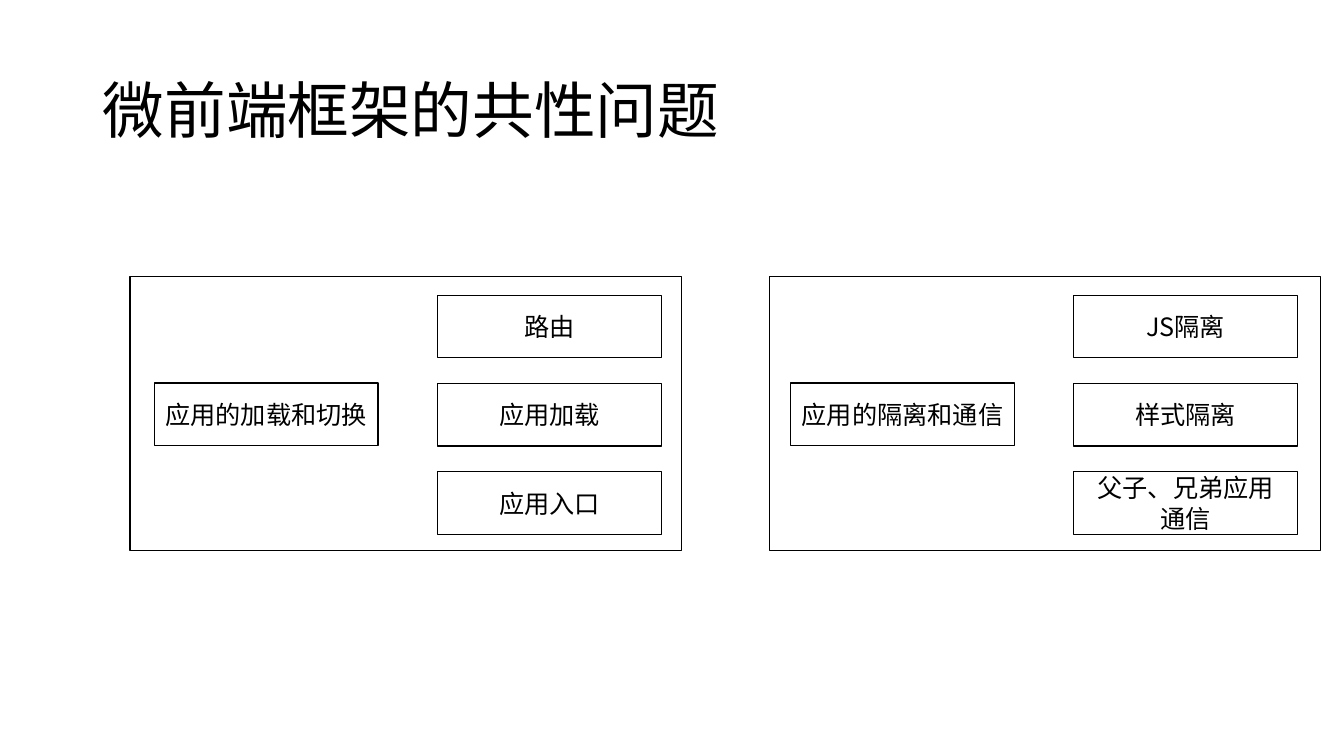
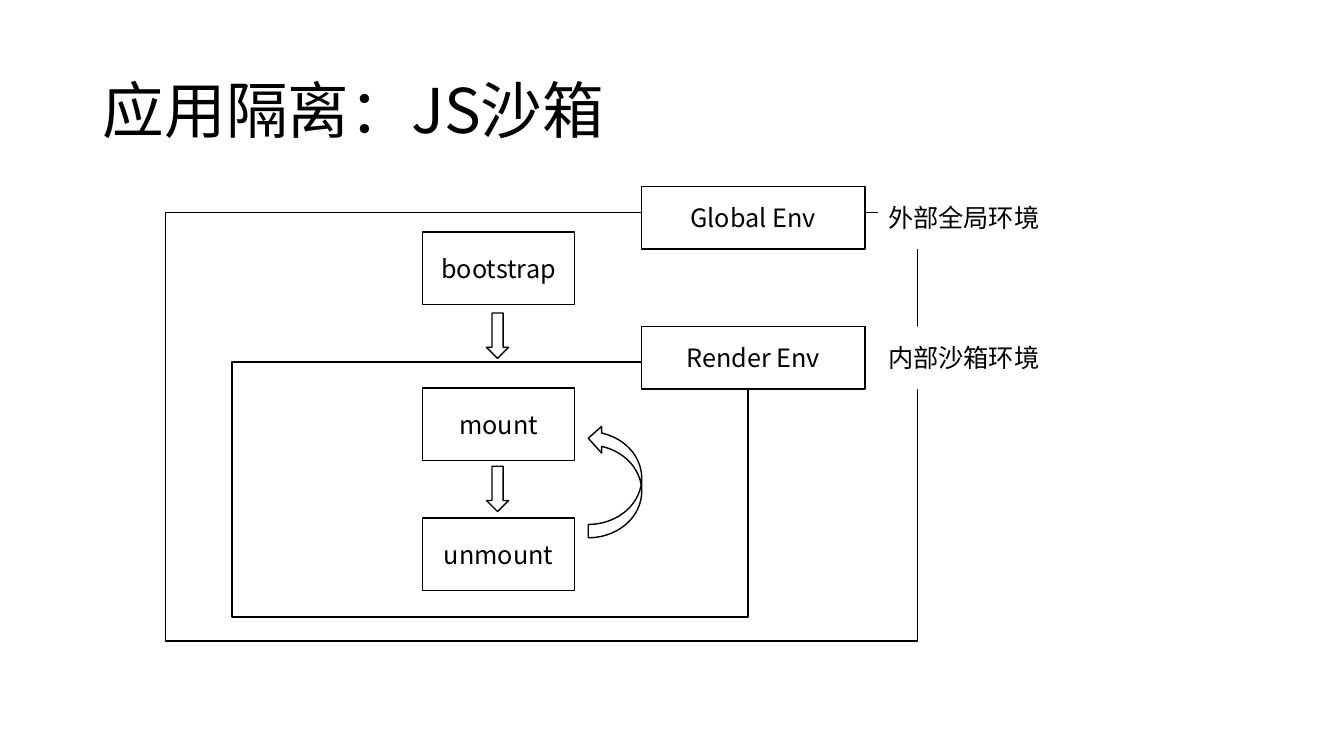
from lxml import etree
from pptx import Presentation
from pptx.dml.color import RGBColor
from pptx.enum import shapes, text
from pptx.oxml.ns import qn
from pptx.util import Inches, Pt

KIND = shapes.MSO_SHAPE
ALIGN = text.PP_ALIGN


def paint(code):
    return RGBColor.from_string(code)


class Deck:
    face = "Noto Sans CJK SC"
    ink = "000000"
    paper = "FFFFFF"
    tag = (2.22, 0.62)
    step = (1.51, 0.72)

    def __init__(self):
        self.prs = Presentation()
        self.prs.slide_width = Inches(13.33)
        self.prs.slide_height = Inches(7.5)
        self.slide = None

    def label(self, frame, words, size=18, **form):
        frame.word_wrap = True
        frame.auto_size = text.MSO_AUTO_SIZE.NONE
        frame.vertical_anchor = text.MSO_ANCHOR.MIDDLE
        for i, line in enumerate(words.split("\n")):
            para = frame.paragraphs[0] if i == 0 else frame.add_paragraph()
            for key, value in form.items():
                setattr(para, key, value)
            run = para.add_run()
            run.text = line
            for key, value in {"name": self.face, "size": Pt(size), "bold": False}.items():
                setattr(run.font, key, value)
            run.font.color.rgb = paint(self.ink)
            props = run._r.get_or_add_rPr()
            etree.SubElement(props, qn("a:ea")).set("typeface", self.face)

    def page(self, words):
        self.slide = self.prs.slides.add_slide(self.prs.slide_layouts[5])
        title = self.slide.shapes.title
        place = {"left": 0.92, "top": 0.4, "width": 11.5, "height": 1.45}
        for key, value in place.items():
            setattr(title, key, Inches(value))
        self.label(title.text_frame, words, 44, alignment=ALIGN.LEFT, line_spacing=0.9)

    def shape(self, x, y, size, kind=KIND.RECTANGLE, fill=None, edge=True, turn=0):
        item = self.slide.shapes.add_shape(kind, Inches(x), Inches(y), *map(Inches, size))
        item.shadow.inherit = False
        item.rotation = turn
        if fill:
            item.fill.solid()
            item.fill.fore_color.rgb = paint(fill)
        else:
            item.fill.background()
        if edge:
            item.line.color.rgb = paint(self.ink)
            item.line.width = Pt(1)
        else:
            item.line.fill.background()
        return item

    def box(self, x, y, words, size=tag, align=ALIGN.CENTER, **look):
        item = self.shape(x, y, size, **look)
        self.label(item.text_frame, words, alignment=align)

    def group(self, x, left, head, parts):
        self.shape(x, 2.74, (5.47, 2.72))
        self.box(left, 3.8, head)
        for i, part in enumerate(parts):
            self.box(left + 2.81, 2.93 + 0.875 * i, part)

    def arrow(self, y):
        self.shape(4.71, y, (0.45, 0.22), KIND.RIGHT_ARROW, turn=90)


def issues(deck):
    deck.page("微前端框架的共性问题")
    deck.group(1.29, 1.53, "应用的加载和切换", ["路由", "应用加载", "应用入口"])
    deck.group(7.63, 7.84, "应用的隔离和通信", ["JS隔离", "样式隔离", "父子、兄弟应用\n通信"])


def sandbox(deck):
    deck.page("应用隔离：JS沙箱")
    deck.shape(2.3, 3.59, (5.12, 2.53))
    deck.shape(1.64, 2.11, (7.46, 4.25))
    for y, name in [(2.3, "bootstrap"), (3.85, "mount"), (5.14, "unmount")]:
        deck.box(4.19, y, name, deck.step)
    for y in (3.22, 4.74):
        deck.arrow(y)
    deck.shape(5.54, 4.51, (1.12, 0.53), KIND.CURVED_UP_ARROW, turn=270)
    for y, name, note in [(3.24, "Render Env", "内部沙箱环境"), (1.85, "Global Env", "外部全局环境")]:
        deck.box(6.36, y, name, fill=deck.paper)
        deck.box(8.71, y, note, align=ALIGN.LEFT, fill=deck.paper, edge=False)


def main():
    deck = Deck()
    issues(deck)
    sandbox(deck)
    deck.prs.save("out.pptx")


if __name__ == "__main__":
    main()
